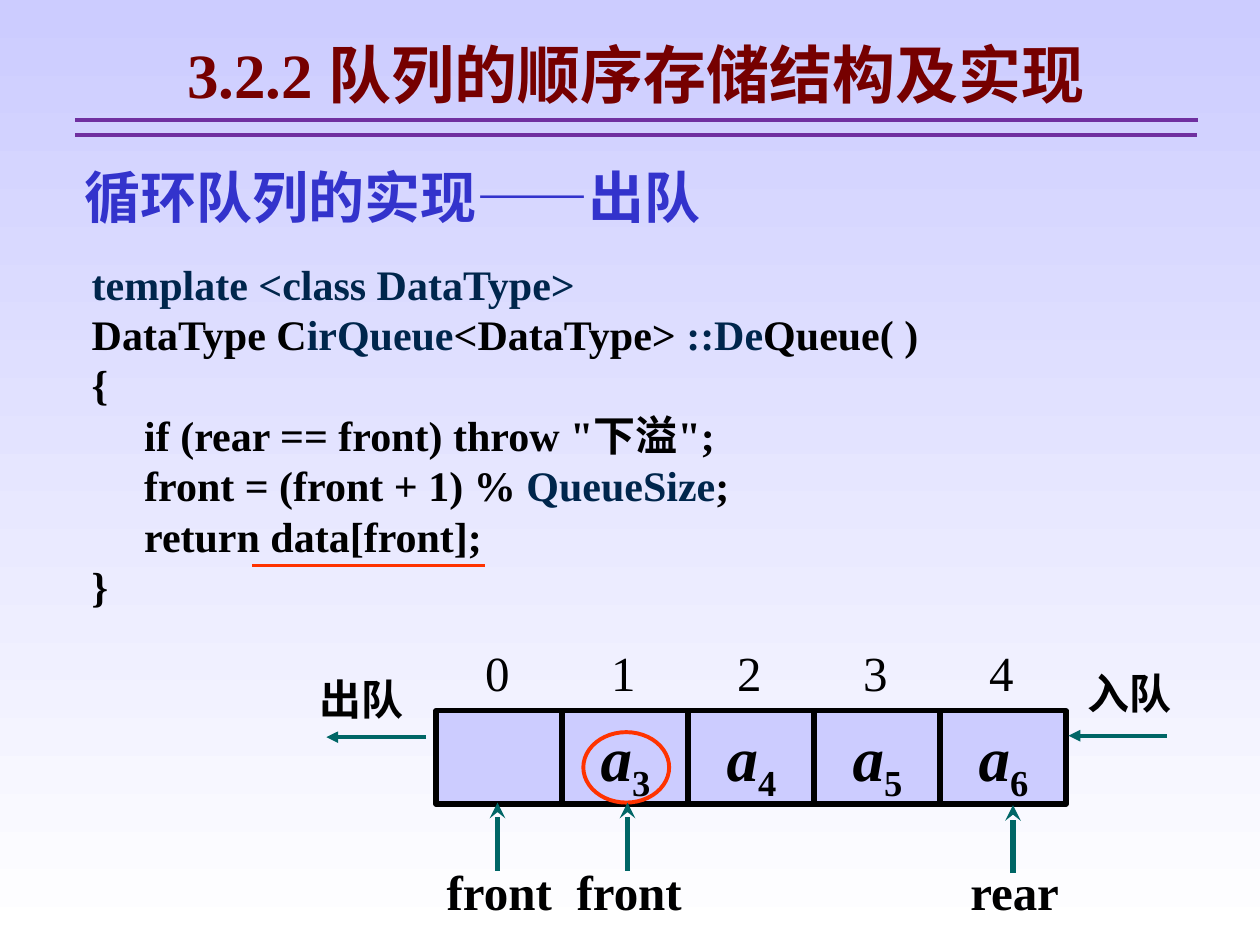
from dataclasses import dataclass

from lxml.etree import SubElement
from pptx import Presentation
from pptx.dml.color import RGBColor
from pptx.enum.shapes import MSO_CONNECTOR, MSO_SHAPE
from pptx.enum.text import MSO_ANCHOR, MSO_AUTO_SIZE, PP_ALIGN as Align
from pptx.oxml.ns import qn
from pptx.util import Cm, Pt

FACE = "Times New Roman"
BLACK, NAVY, TEAL = "000000", "00264C", "006666"
RED, LILAC, PURPLE = "FF3300", "CCCCFF", "7030A0"
CELL = 2.54  # cell width and column pitch, cm


@dataclass
class Box:
    left: float
    top: float
    width: float
    height: float


@dataclass
class Line:
    start: tuple[float, float]
    end: tuple[float, float]
    color: str
    width: float = 2.25
    head: str = ""


@dataclass
class Label:
    text: str
    box: Box
    size: int
    color: str = BLACK
    bold: bool = True
    align: Align = Align.LEFT


@dataclass
class Marker:
    name: str
    x: float
    tip: float


CODE = [  # navy parts stand between bars
    "|template <class DataType>",
    "DataType C|irQueue|<DataType> |::De|Queue( )",
    "{",
    "     if (rear == front) throw \"下溢\";",
    "     front = (front + 1) % |QueueSize|;",
    "     return data[front];",
    "}",
]
LABELS = [
    Label("循环队列的实现——出队", Box(1.45, 3.15, 17.15, 1.63), 32, "3333CC"),
    Label("入队", Box(21.67, 13.34, 2.74, 1.27), 24),
    Label("出队", Box(6.2, 13.46, 2.74, 1.27), 24),
]
LINES = [
    Line((1.52, 2.41), (24.15, 2.41), PURPLE),
    Line((1.52, 2.72), (24.13, 2.72), PURPLE),
    Line((5.08, 11.4), (9.78, 11.4), RED),
    Line((23.52, 14.83), (21.54, 14.83), TEAL, head="triangle"),
    Line((8.59, 14.86), (6.58, 14.86), TEAL, head="triangle"),
]
MARKERS = [
    Marker("front", 10.03, 16.18),
    Marker("front", 12.65, 16.18),
    Marker("rear", 20.42, 16.23),
]


def rgb(code: str) -> RGBColor:
    return RGBColor.from_string(code)


def place(box: Box) -> tuple[Cm, ...]:
    return Cm(box.left), Cm(box.top), Cm(box.width), Cm(box.height)


def style(font, size: int, color: str = BLACK, bold: bool = True) -> None:
    font.name, font.size, font.bold = FACE, Pt(size), bold
    font.color.rgb = rgb(color)


def add_frame(slide, box: Box):
    frame = slide.shapes.add_textbox(*place(box)).text_frame
    frame.word_wrap = True
    return frame


def add_label(slide, label: Label):
    para = add_frame(slide, label.box).paragraphs[0]
    para.text, para.alignment = label.text, label.align
    return para


def draw_label(slide, label: Label) -> None:
    para = add_label(slide, label)
    style(para.font, label.size, label.color, label.bold)


def draw_line(slide, line: Line) -> None:
    ends = [Cm(n) for n in (*line.start, *line.end)]
    link = slide.shapes.add_connector(MSO_CONNECTOR.STRAIGHT, *ends)
    link.line.color.rgb = rgb(line.color)
    link.line.width = Pt(line.width)
    if line.head:
        SubElement(link.line._get_or_add_ln(), qn("a:tailEnd"), type=line.head)
    SubElement(link._element.spPr, qn("a:effectLst"))


def draw_shape(slide, kind, box: Box, edge: str, width: float, fill: str = "") -> None:
    shape = slide.shapes.add_shape(kind, *place(box))
    shape.shadow.inherit = False
    if fill:
        shape.fill.solid()
        shape.fill.fore_color.rgb = rgb(fill)
    else:
        shape.fill.background()
    shape.line.color.rgb = rgb(edge)
    shape.line.width = Pt(width)


def draw_title(slide) -> None:
    title = slide.shapes.title
    title.left, title.top, title.width, title.height = place(Box(1.68, 0.58, 22.28, 1.78))
    frame = title.text_frame
    frame.auto_size, frame.vertical_anchor = MSO_AUTO_SIZE.NONE, MSO_ANCHOR.TOP
    para = frame.paragraphs[0]
    para.text, para.alignment = "3.2.2 队列的顺序存储结构及实现", Align.CENTER
    style(para.font, 36, "760000")


def draw_code(slide) -> None:
    frame = add_frame(slide, Box(1.6, 5.08, 21.01, 7.37))
    for row, text in enumerate(CODE):
        para = frame.add_paragraph() if row else frame.paragraphs[0]
        para.alignment = Align.JUSTIFY
        style(para.font, 24)
        for i, part in enumerate(text.split("|")):
            if part:
                run = para.add_run()
                run.text = part
                style(run.font, 24, NAVY if i % 2 else BLACK)


def draw_index(slide) -> None:
    """Number the cells with one tab stop per column."""
    label = Label("0\t1\t2\t3\t4", Box(9.53, 12.83, 11.89, 1.45), 28, bold=False)
    para = add_label(slide, label)
    tabs = SubElement(para._p.get_or_add_pPr(), qn("a:tabLst"))
    for col in range(1, 5):
        SubElement(tabs, qn("a:tab"), pos=str(Cm(CELL * col)), algn="l")
    style(para.font, label.size, label.color, label.bold)


def draw_item(slide, col: int) -> None:
    """Write a with its subscript in a cell."""
    box = Box(11.86 + CELL * (col - 1), 14.35, 2, 2.01)
    para = add_frame(slide, box).paragraphs[0]
    style(para.font, 36)
    for text in ("a", str(col + 2)):
        run = para.add_run()
        run.text = text
        style(run.font, 36)
        run.font.italic = text == "a"
    run.font._element.set("baseline", "-25000")


def draw_queue(slide) -> None:
    for col in range(5):
        cell = Box(8.79 + CELL * col, 14.33, CELL, 1.88)
        draw_shape(slide, MSO_SHAPE.RECTANGLE, cell, BLACK, 3, LILAC)
    draw_index(slide)
    draw_shape(slide, MSO_SHAPE.OVAL, Box(11.76, 14.76, 1.73, 1.42), RED, 2.25)
    for col in range(1, 5):
        draw_item(slide, col)
    for mark in MARKERS:
        foot = mark.tip + 1.37
        draw_line(slide, Line((mark.x, foot), (mark.x, mark.tip), TEAL, 3, "stealth"))
        box = Box(mark.x - 1.3, 17.25, 2.67, 1.45)
        draw_label(slide, Label(mark.name, box, 28, align=Align.CENTER))


def main() -> None:
    deck = Presentation()
    deck.slide_width, deck.slide_height = Cm(25.4), Cm(19.05)
    slide = deck.slides.add_slide(deck.slide_layouts[5])
    fill = slide.background.fill
    fill.gradient()
    fill.gradient_angle = 270
    for stop, code in zip(fill.gradient_stops, (LILAC, "FFFFFF")):
        stop.color.rgb = rgb(code)
    draw_title(slide)
    draw_code(slide)
    draw_queue(slide)
    for label in LABELS:
        draw_label(slide, label)
    for line in LINES:
        draw_line(slide, line)
    deck.save("out.pptx")


if __name__ == "__main__":
    main()
